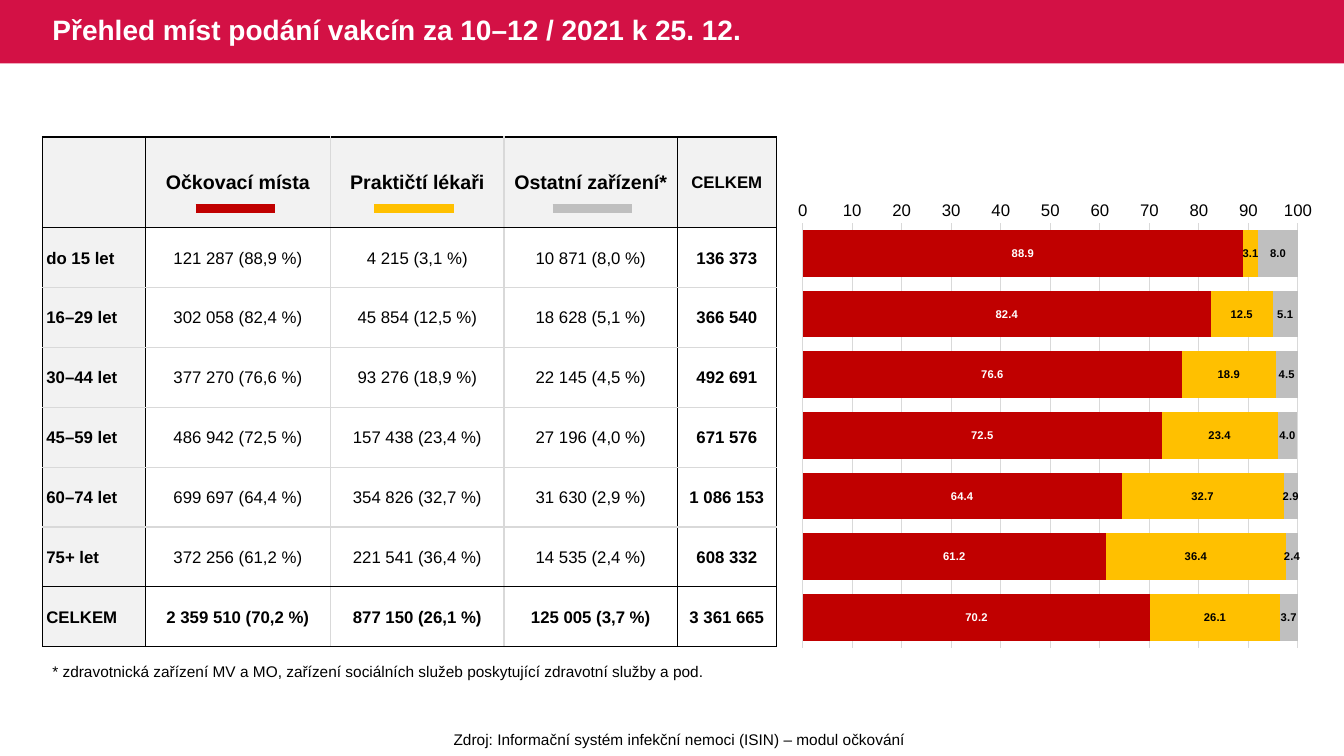
import pptx
import pptx.chart.data
import pptx.dml.color
import pptx.enum.chart
import pptx.enum.shapes
import pptx.enum.text
import pptx.oxml
import pptx.oxml.ns
import pptx.util
from pptx.util import Inches

FONT = "Arial"
BLACK, WHITE, GRID, SHADE = "000000", "FFFFFF", "D9D9D9", "F2F2F2"
PLACE_COLORS = ["C00000", "FFC000", "BFBFBF"]
LEFT = pptx.enum.text.PP_ALIGN.LEFT
CENTER = pptx.enum.text.PP_ALIGN.CENTER
MIDDLE = pptx.enum.text.MSO_ANCHOR.MIDDLE

COLUMN_WIDTHS = [1.02, 1.84, 1.72, 1.72, 0.98]
ROW_HEIGHTS = [0.9] + [0.594] * 7
BLACK_COLUMN_EDGES = {0, 1, 4, 5}
BLACK_ROW_EDGES = {0, 1, 7, 8}
TABLE_ROWS = [
    ["", "Očkovací místa", "Praktičtí lékaři", "Ostatní zařízení*", "CELKEM"],
    ["do 15 let", "121 287 (88,9 %)", "4 215 (3,1 %)", "10 871 (8,0 %)", "136 373"],
    ["16–29 let", "302 058 (82,4 %)", "45 854 (12,5 %)", "18 628 (5,1 %)", "366 540"],
    ["30–44 let", "377 270 (76,6 %)", "93 276 (18,9 %)", "22 145 (4,5 %)", "492 691"],
    ["45–59 let", "486 942 (72,5 %)", "157 438 (23,4 %)", "27 196 (4,0 %)", "671 576"],
    ["60–74 let", "699 697 (64,4 %)", "354 826 (32,7 %)", "31 630 (2,9 %)", "1 086 153"],
    ["75+ let", "372 256 (61,2 %)", "221 541 (36,4 %)", "14 535 (2,4 %)", "608 332"],
    ["CELKEM", "2 359 510 (70,2 %)", "877 150 (26,1 %)", "125 005 (3,7 %)", "3 361 665"],
]
SHARES = [
    [88.9, 82.4, 76.6, 72.5, 64.4, 61.2, 70.2],
    [3.1, 12.5, 18.9, 23.4, 32.7, 36.4, 26.1],
    [8.0, 5.1, 4.5, 4.0, 2.9, 2.4, 3.7],
]


def color(value):
    return pptx.dml.color.RGBColor.from_string(value)


def style_font(font, size, value=BLACK, bold=False):
    font.name = FONT
    font.size = pptx.util.Pt(size)
    font.bold = bold
    font.color.rgb = color(value)


def fill_text(frame, text, size, value=BLACK, bold=False, align=LEFT):
    frame.text = text
    para = frame.paragraphs[0]
    para.alignment = align
    for span in para.runs:
        style_font(span.font, size, value, bold)


def add_heading(slide, text):
    band = slide.shapes.add_shape(
        pptx.enum.shapes.MSO_SHAPE.RECTANGLE, 0, 0, Inches(13.33), Inches(0.63))
    band.shadow.inherit = False
    band.fill.solid()
    band.fill.fore_color.rgb = color("D31145")
    band.line.fill.background()
    title = slide.shapes.title
    title.element.addprevious(band.element)
    title.left, title.top = Inches(0.42), Inches(0)
    title.width, title.height = Inches(7.93), Inches(0.63)
    title.text_frame.auto_size = pptx.enum.text.MSO_AUTO_SIZE.NONE
    title.text_frame.vertical_anchor = MIDDLE
    fill_text(title.text_frame, text, 20, WHITE, True)
    title.text_frame.paragraphs[0].line_spacing = 0.9


def add_note(slide, text, left, top, width, align=LEFT, wrap=True):
    box = slide.shapes.add_textbox(Inches(left), Inches(top), Inches(width), Inches(0.29))
    box.text_frame.word_wrap = wrap
    box.text_frame.auto_size = pptx.enum.text.MSO_AUTO_SIZE.SHAPE_TO_FIT_TEXT
    fill_text(box.text_frame, text, 11, align=align)


def set_borders(cell, row, column):
    edges = [
        ("lnL", column in BLACK_COLUMN_EDGES),
        ("lnR", column + 1 in BLACK_COLUMN_EDGES),
        ("lnT", row in BLACK_ROW_EDGES),
        ("lnB", row + 1 in BLACK_ROW_EDGES),
    ]
    properties = cell._tc.get_or_add_tcPr()
    for tag, is_black in edges:
        properties.append(pptx.oxml.parse_xml(
            f'<a:{tag} {pptx.oxml.ns.nsdecls("a")} w="12700"><a:solidFill>'
            f'<a:srgbClr val="{BLACK if is_black else GRID}"/></a:solidFill></a:{tag}>'))


def format_cell(cell, text, row, column):
    set_borders(cell, row, column)
    is_label = column == 0
    if row == 0 or is_label:
        cell.fill.solid()
        cell.fill.fore_color.rgb = color(SHADE)
    else:
        cell.fill.background()
    cell.margin_left = Inches(0.04 if is_label else 0.01)
    cell.margin_right = cell.margin_top = Inches(0.01)
    cell.margin_bottom = 0
    cell.vertical_anchor = MIDDLE
    size = 14 if row == 0 and column < 4 else 12
    bold = row in (0, 7) or column in (0, 4)
    fill_text(cell.text_frame, text, size, bold=bold, align=LEFT if is_label else CENTER)


def add_counts_table(slide):
    frame = slide.shapes.add_table(
        len(ROW_HEIGHTS), len(COLUMN_WIDTHS), Inches(0.42), Inches(1.36),
        Inches(sum(COLUMN_WIDTHS)), Inches(sum(ROW_HEIGHTS)))
    table = frame.table
    table.first_row = table.horz_banding = False
    for column, width in zip(table.columns, COLUMN_WIDTHS):
        column.width = Inches(width)
    for row, height in zip(table.rows, ROW_HEIGHTS):
        row.height = Inches(height)
    for row, texts in enumerate(TABLE_ROWS):
        for column, text in enumerate(texts):
            format_cell(table.cell(row, column), text, row, column)


def place_plot(chart, left, top, width, height):
    plot_area = chart._chartSpace.chart.plotArea
    for layout in plot_area.findall(pptx.oxml.ns.qn("c:layout")):
        plot_area.remove(layout)
    plot_area.insert(0, pptx.oxml.parse_xml(
        f'<c:layout {pptx.oxml.ns.nsdecls("c")}><c:manualLayout>'
        '<c:layoutTarget val="inner"/><c:xMode val="edge"/><c:yMode val="edge"/>'
        f'<c:x val="{left}"/><c:y val="{top}"/><c:w val="{width}"/><c:h val="{height}"/>'
        '</c:manualLayout></c:layout>'))


def format_axes(chart):
    chart.category_axis.visible = False
    chart.category_axis.reverse_order = True
    axis = chart.value_axis
    axis.minimum_scale, axis.maximum_scale, axis.major_unit = 0, 100, 10
    axis.major_tick_mark = axis.minor_tick_mark = pptx.enum.chart.XL_TICK_MARK.NONE
    axis.format.line.fill.background()
    axis.major_gridlines.format.line.color.rgb = color(GRID)
    axis.major_gridlines.format.line.width = pptx.util.Pt(0.75)
    style_font(axis.tick_labels.font, 12)
    axis.tick_labels.number_format = "0"
    axis.tick_labels.number_format_is_linked = False


def add_share_chart(slide):
    data = pptx.chart.data.CategoryChartData()
    data.categories = [str(number) for number in range(1, 8)]
    for number, values in enumerate(SHARES, 1):
        data.add_series(f"Series {number}", values)
    chart = slide.shapes.add_chart(
        pptx.enum.chart.XL_CHART_TYPE.BAR_STACKED,
        Inches(7.83), Inches(1.45), Inches(5.27), Inches(5.42), data).chart
    chart.has_title = chart.has_legend = False
    style_font(chart.font, 10)
    format_axes(chart)
    plot = chart.plots[0]
    plot.gap_width, plot.overlap = 30, 100
    plot.vary_by_categories = False
    for series, value, label_color in zip(plot.series, PLACE_COLORS, [WHITE, BLACK, BLACK]):
        series.format.fill.solid()
        series.format.fill.fore_color.rgb = color(value)
        labels = series.data_labels
        labels.show_value = True
        labels.number_format = "#,##0.0"
        labels.number_format_is_linked = False
        style_font(labels.font, 8, label_color, True)
    place_plot(chart, 0.025, 0.141, 0.932, 0.777)


def add_key_line(slide, left, value):
    line = slide.shapes.add_connector(
        pptx.enum.shapes.MSO_CONNECTOR.STRAIGHT,
        Inches(left), Inches(2.07), Inches(left + 0.79), Inches(2.07))
    line.line.color.rgb = color(value)
    line.line.width = pptx.util.Pt(6)
    line.element.spPr.append(
        pptx.oxml.parse_xml(f'<a:effectLst {pptx.oxml.ns.nsdecls("a")}/>'))


def main():
    deck = pptx.Presentation()
    deck.slide_width, deck.slide_height = Inches(13.33), Inches(7.5)
    slide = deck.slides.add_slide(deck.slide_layouts[5])
    add_heading(slide, "Přehled míst podání vakcín za 10–12 / 2021 k 25. 12.")
    add_counts_table(slide)
    add_share_chart(slide)
    for index, value in enumerate(PLACE_COLORS):
        add_key_line(slide, 1.94 + 1.77 * index, value)
    add_note(slide, "Zdroj: Informační systém infekční nemoci (ISIN) – modul očkování",
             4.39, 7.19, 4.7, CENTER, wrap=False)
    add_note(slide, "* zdravotnická zařízení MV a MO, zařízení sociálních služeb "
             "poskytující zdravotní služby a pod.", 0.42, 6.52, 6.91)
    deck.save("out.pptx")


if __name__ == "__main__":
    main()
